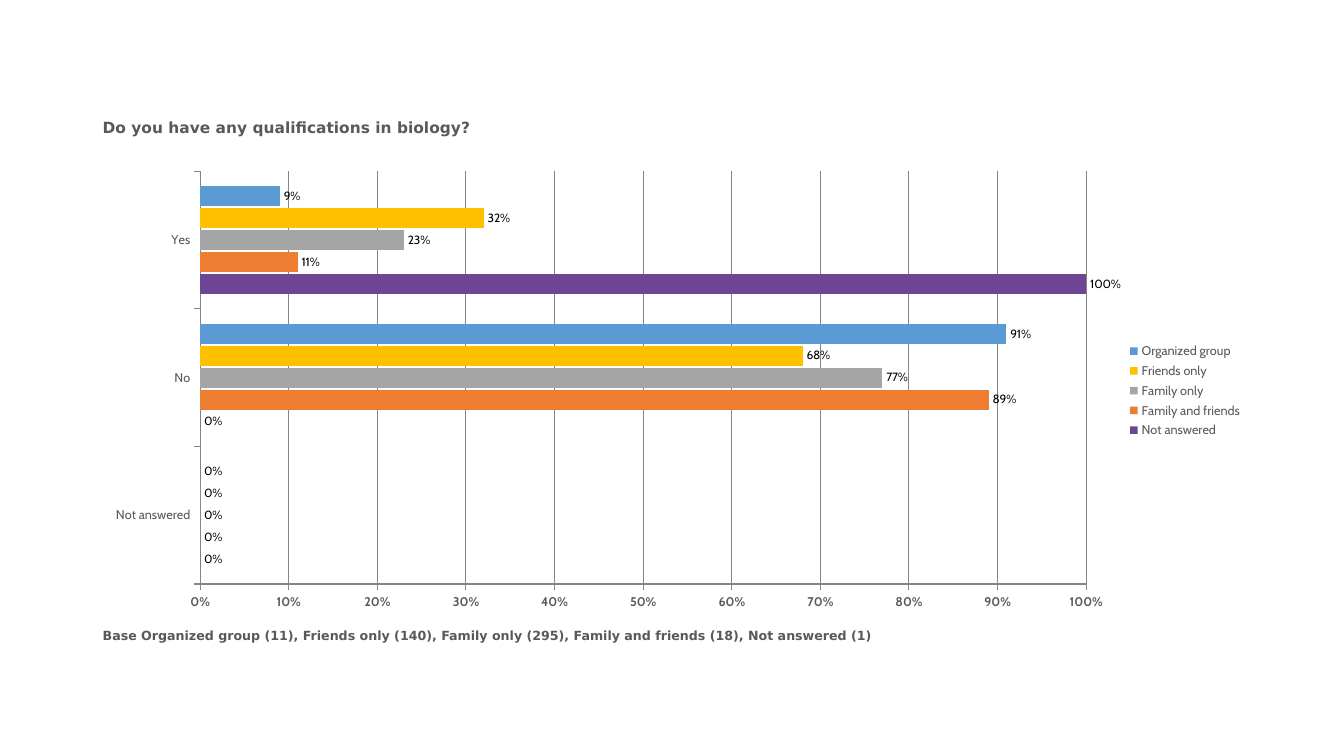
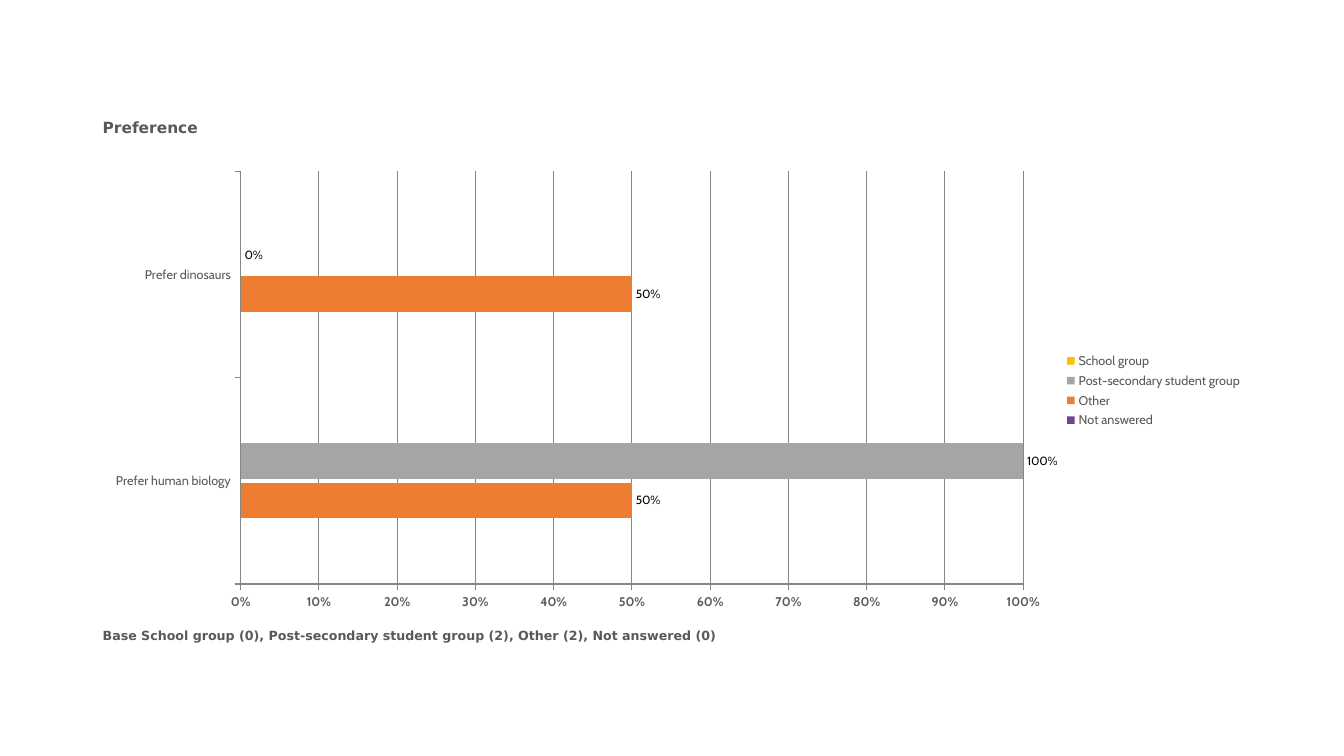
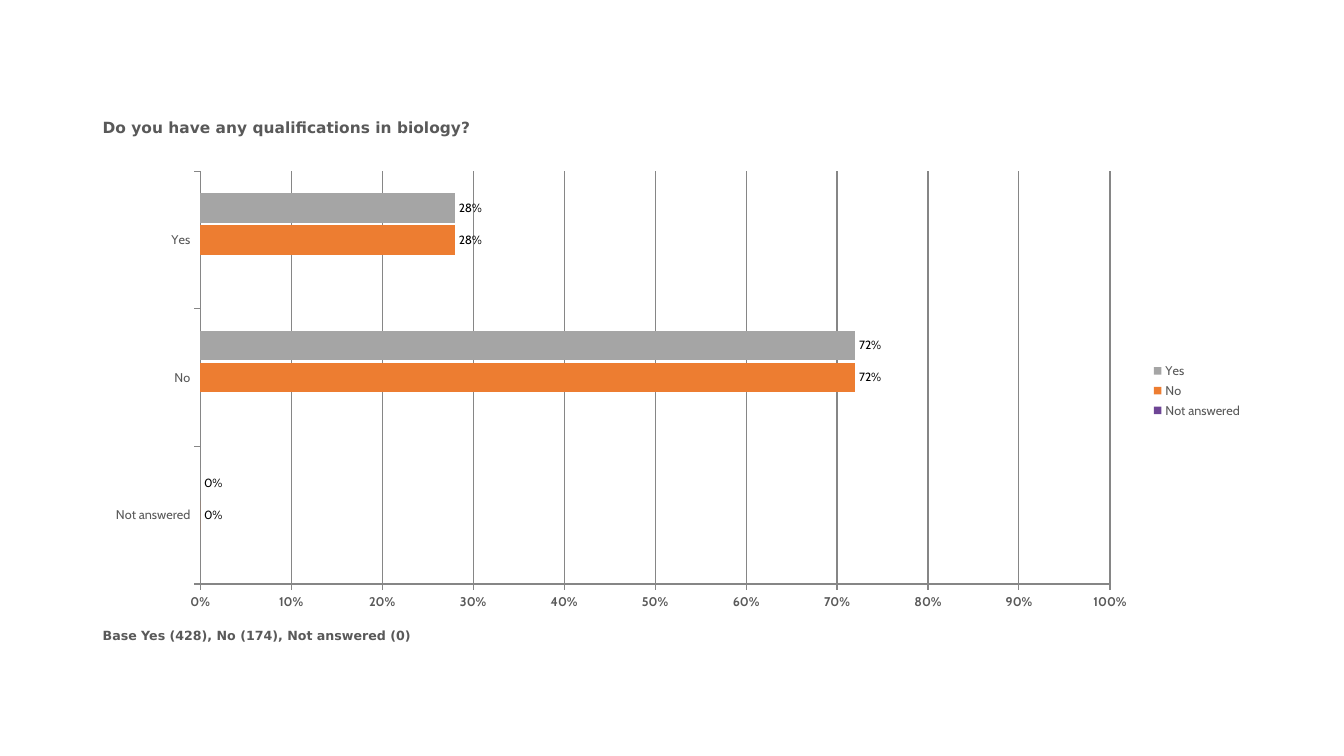
"""Build three survey slides, each with a title, a bar chart and a base line."""
from pptx import Presentation
from pptx.chart.data import CategoryChartData
from pptx.dml.color import RGBColor
from pptx.enum.chart import (XL_CHART_TYPE, XL_LABEL_POSITION,
                             XL_LEGEND_POSITION, XL_TICK_LABEL_POSITION,
                             XL_TICK_MARK)
from pptx.util import Inches, Pt

BAR = XL_CHART_TYPE.BAR_CLUSTERED
OUT_END = XL_LABEL_POSITION.OUTSIDE_END
RIGHT = XL_LEGEND_POSITION.RIGHT
LOW = XL_TICK_LABEL_POSITION.LOW
TICK_OUT, TICK_NONE = XL_TICK_MARK.OUTSIDE, XL_TICK_MARK.NONE

COLORS = {"text": "595959", "label": "000000", "line": "868686",
          "purple": "6E4595", "orange": "ED7D31", "gray": "A5A5A5",
          "gold": "FFC000", "blue": "5B9BD5"}
ORDER = ("purple", "orange", "gray", "gold", "blue")
LEFT, WIDTH = 0.92, 11.5
HEAD, BODY, BASE = "DejaVu Sans", "Cabin", "Calibri"

SKILL = "Do you have any qualifications in biology?"
ANSWERS = ("Not answered", "No", "Yes")
SLIDES = (
    (SKILL, ANSWERS, (
        ("Not answered", 1, (0, 0, 1)),
        ("Family and friends", 18, (0, 0.89, 0.11)),
        ("Family only", 295, (0, 0.77, 0.23)),
        ("Friends only", 140, (0, 0.68, 0.32)),
        ("Organized group", 11, (0, 0.91, 0.09)))),
    ("Preference", ("Prefer human biology", "Prefer dinosaurs"), (
        ("Not answered", 0, (None, None)),
        ("Other", 2, (0.5, 0.5)),
        ("Post-secondary student group", 2, (1, 0)),
        ("School group", 0, (None, None)))),
    (SKILL, ANSWERS, (
        ("Not answered", 0, (None, None, None)),
        ("No", 174, (0, 0.72, 0.28)),
        ("Yes", 428, (0, 0.72, 0.28)))),
)


def color(name):
    return RGBColor.from_string(COLORS[name])


def style(font, name, size, tone="text", bold=False):
    font.name, font.size, font.bold = name, Pt(size), bold
    font.color.rgb = color(tone)


def add_text(slide, text, top, height, size):
    box = slide.shapes.add_textbox(Inches(LEFT), Inches(top),
                                   Inches(WIDTH), Inches(height))
    frame = box.text_frame
    frame.word_wrap = True
    frame.text = text
    style(frame.paragraphs[0].font, HEAD, size, bold=True)


def set_line(line):
    line.color.rgb = color("line")
    line.width = Pt(0.75)


def set_axis(axis, bold=False):
    axis.tick_label_position = LOW
    axis.major_tick_mark, axis.minor_tick_mark = TICK_OUT, TICK_NONE
    style(axis.tick_labels.font, BODY, 9, bold=bold)
    set_line(axis.format.line)


def set_scale(axis):
    set_axis(axis, bold=True)
    axis.minimum_scale, axis.maximum_scale, axis.major_unit = 0, 1, 0.1
    axis.tick_labels.number_format = "0%"
    axis.tick_labels.number_format_is_linked = False
    axis.has_major_gridlines = True
    set_line(axis.major_gridlines.format.line)


def set_bars(bars, tone):
    bars.invert_if_negative = False
    bars.format.fill.solid()
    bars.format.fill.fore_color.rgb = color(tone)
    labels = bars.data_labels
    labels.show_value = True
    labels.position = OUT_END
    labels.number_format, labels.number_format_is_linked = "0%", False
    style(labels.font, BODY, 8.5, "label")


def add_bars(slide, cats, groups):
    data = CategoryChartData(number_format="0%")
    data.categories = cats
    for name, count, vals in groups:
        data.add_series(name, vals)
    chart = slide.shapes.add_chart(BAR, Inches(LEFT), Inches(1.61),
                                   Inches(WIDTH), Inches(4.53), data).chart
    chart.has_title = False
    style(chart.font, BASE, 18, "label")
    chart.has_legend = True
    chart.legend.position = RIGHT
    chart.legend.include_in_layout = False
    style(chart.legend.font, BODY, 9)
    set_axis(chart.category_axis)
    set_scale(chart.value_axis)
    plot = chart.plots[0]
    plot.vary_by_categories = False
    plot.gap_width, plot.overlap = 150, -10
    for bars, tone in zip(plot.series, ORDER):
        set_bars(bars, tone)


def add_slide(deck, title, cats, groups):
    slide = deck.slides.add_slide(deck.slide_layouts[6])
    sizes = ", ".join(f"{name} ({count})"
                      for name, count, vals in reversed(groups))
    add_text(slide, title, 1.12, 0.51, 11)
    add_text(slide, f"Base {sizes}", 6.18, 0.43, 9)
    add_bars(slide, cats, groups)


def main():
    deck = Presentation()
    deck.slide_width, deck.slide_height = Inches(13.33), Inches(7.5)
    for title, cats, groups in SLIDES:
        add_slide(deck, title, cats, groups)
    deck.save("out.pptx")


if __name__ == "__main__":
    main()
